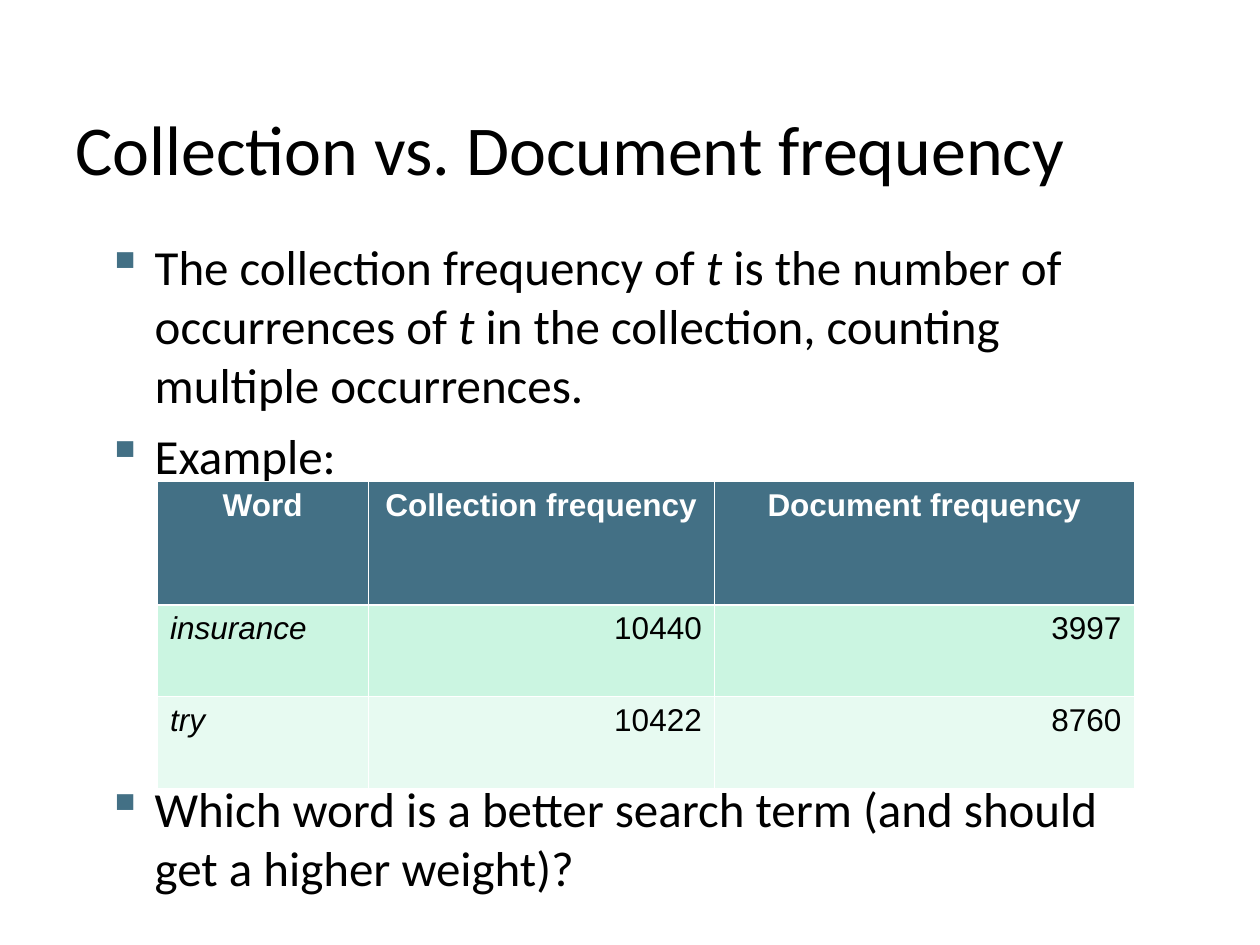
from lxml import etree
from pptx import Presentation
from pptx.dml.color import RGBColor
from pptx.enum.text import MSO_ANCHOR, PP_ALIGN
from pptx.oxml.ns import qn
from pptx.util import Inches, Pt

COLORS = {
    "text": "000000",
    "white": "FFFFFF",
    "header": "437085",
    "band_dark": "CBF5E1",
    "band_light": "E7FAF1",
}
HAIRLINE, HEADER_RULE = 0.45, 1.47


def add_run(paragraph, text, size, font_name, color="text", bold=False, italic=False):
    run = paragraph.add_run()
    run.text = text
    font = run.font
    font.size, font.name = Pt(size), font_name
    font.bold, font.italic = bold, italic
    font.color.rgb = RGBColor.from_string(COLORS[color])


def add_solid_color(parent, tag, color):
    """Append an element with the given tag that holds one sRGB colour."""
    element = etree.SubElement(parent, qn(tag))
    etree.SubElement(element, qn("a:srgbClr"), val=COLORS[color])


presentation = Presentation()
presentation.slide_width, presentation.slide_height = Inches(10), Inches(7.5)
slide = presentation.slides.add_slide(presentation.slide_layouts[6])

# Title
title = slide.shapes.add_textbox(Inches(0.5), Inches(0.3), Inches(9), Inches(1.25))
title.text_frame.word_wrap = True
title.text_frame.vertical_anchor = MSO_ANCHOR.BOTTOM
add_run(title.text_frame.paragraphs[0], "Collection vs. Document frequency", 40, "Calibri")

# Bullets: space before in points, then (text, italic) runs
bullets = [
    (0, [("The collection frequency of ", False), ("t", True),
         (" is the number of occurrences of ", False), ("t", True),
         (" in the collection, counting multiple occurrences.", False)]),
    (7, [("Example:", False)]),
    # The wide gap leaves room for the table
    (168, [("Which word is a better search term (and should get a higher weight)?", False)]),
]
body = slide.shapes.add_textbox(Inches(0.75), Inches(1.83), Inches(8.5), Inches(5.33))
body.text_frame.word_wrap = True
for index, (space_before, runs) in enumerate(bullets):
    paragraph = body.text_frame.paragraphs[0] if index == 0 else body.text_frame.add_paragraph()
    properties = paragraph._p.get_or_add_pPr()
    properties.set("marL", str(Inches(0.38)))
    properties.set("indent", str(-Inches(0.38)))
    add_solid_color(properties, "a:buClr", "header")
    etree.SubElement(properties, qn("a:buChar"), char="▪")
    paragraph.space_before = Pt(space_before)
    for text, italic in runs:
        add_run(paragraph, text, 28, "Calibri", italic=italic)

# Frequency table
rows = [
    ("Word", "Collection frequency", "Document frequency"),
    ("insurance", "10440", "3997"),
    ("try", "10422", "8760"),
]
column_widths = [1.67, 2.75, 3.33]
row_heights = [0.98, 0.73, 0.73]
row_fills = ["header", "band_dark", "band_light"]
table = slide.shapes.add_table(
    len(rows), len(column_widths), Inches(1.25), Inches(3.82),
    Inches(sum(column_widths)), Inches(sum(row_heights))).table
for column, width in zip(table.columns, column_widths):
    column.width = Inches(width)
for row, height in zip(table.rows, row_heights):
    row.height = Inches(height)

for row_index, row_texts in enumerate(rows):
    is_header = row_index == 0
    border_widths = {
        "a:lnL": HAIRLINE,
        "a:lnR": HAIRLINE,
        "a:lnT": HEADER_RULE if row_index == 1 else HAIRLINE,
        "a:lnB": HEADER_RULE if is_header else HAIRLINE,
    }
    for column_index, text in enumerate(row_texts):
        cell = table.cell(row_index, column_index)
        cell_properties = cell._tc.get_or_add_tcPr()
        for tag, width in border_widths.items():
            line = etree.SubElement(cell_properties, qn(tag), w=str(Pt(width)))
            add_solid_color(line, "a:solidFill", "white")
        cell.fill.solid()
        cell.fill.fore_color.rgb = RGBColor.from_string(COLORS[row_fills[row_index]])
        paragraph = cell.text_frame.paragraphs[0]
        if is_header:
            paragraph.alignment = PP_ALIGN.CENTER
        else:
            paragraph.alignment = PP_ALIGN.RIGHT if column_index else PP_ALIGN.LEFT
        add_run(paragraph, text, 18, "Arial", "white" if is_header else "text",
                bold=is_header, italic=not is_header and column_index == 0)

presentation.save("out.pptx")
